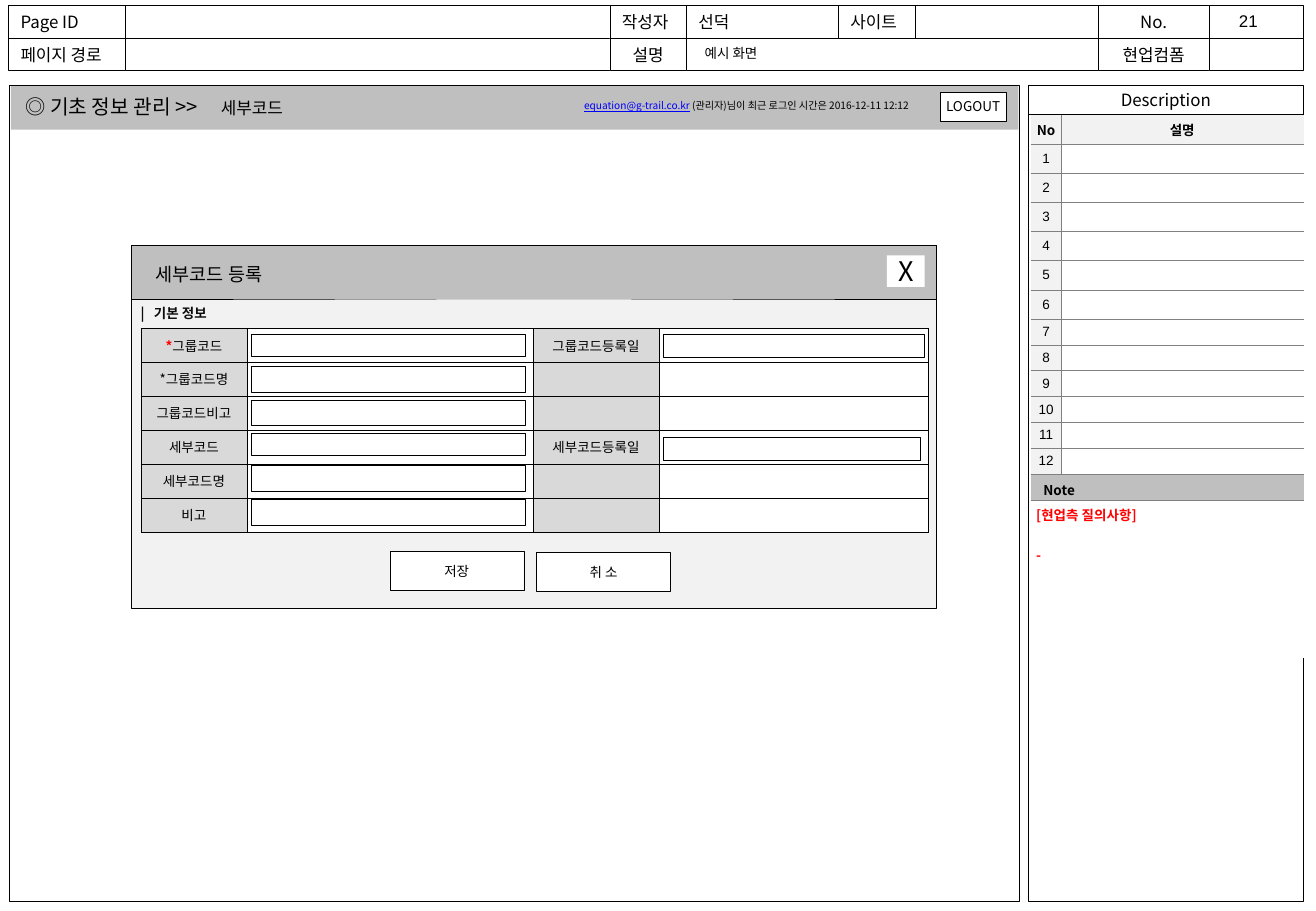
from typing import NamedTuple

from lxml import etree
from pptx import Presentation
from pptx.dml.color import RGBColor
from pptx.enum.shapes import MSO_SHAPE as Shape
from pptx.enum.text import MSO_ANCHOR as Anchor, PP_ALIGN as Align
from pptx.oxml.ns import qn
from pptx.util import Cm, Pt

KOREAN = "Noto Sans CJK KR"
BLACK, WHITE, RED, BLUE = "000000", "FFFFFF", "FF0000", "0000FF"
PALE, LIGHT, MEDIUM, RULE = "F2F2F2", "D9D9D9", "BFBFBF", "808080"
THIN = Pt(0.25)
ALL_SIDES = "LRTB"


class Box(NamedTuple):
    left: float
    top: float
    width: float
    height: float
    text: str = ""
    size: float = 8
    align: Align = Align.CENTER
    fill: str = WHITE
    outlined: bool = True
    inset: float = 0.1


class HeaderCell(NamedTuple):
    left: float
    text: str = ""
    align: Align = Align.LEFT
    inset: float = 0.25


class FormRow(NamedTuple):
    label: str
    date_label: str = ""
    required: str = ""


def color(value: str) -> RGBColor:
    return RGBColor.from_string(value)


def write(paragraph, text: str, size: float = 8, ink: str = BLACK, font: str = KOREAN,
          bold: bool = False, underline: bool = False, align: Align = Align.LEFT) -> None:
    paragraph.alignment = align
    run = paragraph.add_run()
    run.text = text
    run.font.size = Pt(size)
    run.font.bold = bold
    run.font.underline = underline
    run.font.color.rgb = color(ink)
    run.font.name = font
    etree.SubElement(run.font._element, qn("a:ea")).set("typeface", font)


def set_tab(paragraph, position: float) -> None:
    tabs = etree.SubElement(paragraph._p.get_or_add_pPr(), qn("a:tabLst"))
    etree.SubElement(tabs, qn("a:tab"), pos=str(Cm(position)), algn="l")


def draw_box(slide, box: Box) -> None:
    shape = slide.shapes.add_shape(
        Shape.RECTANGLE, Cm(box.left), Cm(box.top), Cm(box.width), Cm(box.height))
    shape.shadow.inherit = False
    shape.fill.solid()
    shape.fill.fore_color.rgb = color(box.fill)
    if box.outlined:
        shape.line.color.rgb = color(BLACK)
        shape.line.width = THIN
    else:
        shape.line.fill.background()
    if box.text:
        frame = shape.text_frame
        frame.word_wrap = True
        frame.vertical_anchor = Anchor.MIDDLE
        frame.margin_left = frame.margin_right = Cm(box.inset)
        write(frame.paragraphs[0], box.text, size=box.size, align=box.align)


def add_label(slide, left: float, top: float, width: float, height: float):
    frame = slide.shapes.add_textbox(Cm(left), Cm(top), Cm(width), Cm(height)).text_frame
    frame.word_wrap = True
    return frame.paragraphs[0]


def add_grid(slide, left: float, top: float, widths: list[float], heights: list[float]):
    table = slide.shapes.add_table(
        len(heights), len(widths), Cm(left), Cm(top), Cm(sum(widths)), Cm(sum(heights))).table
    table.first_row = table.horz_banding = False
    for column, width in zip(table.columns, widths):
        column.width = Cm(width)
    for row, height in zip(table.rows, heights):
        row.height = Cm(height)
    return table


def style_cell(cell, fill: str, sides: str, ink: str, margin: float,
               anchor: Anchor = Anchor.MIDDLE):
    """Format a cell and return its first paragraph."""
    properties = cell._tc.get_or_add_tcPr()
    for side in ALL_SIDES:
        line = etree.SubElement(properties, qn(f"a:ln{side}"), w=str(THIN))
        if side in sides:
            solid = etree.SubElement(line, qn("a:solidFill"))
            etree.SubElement(solid, qn("a:srgbClr"), val=ink)
        else:
            etree.SubElement(line, qn("a:noFill"))
    cell.fill.solid()
    cell.fill.fore_color.rgb = color(fill)
    cell.vertical_anchor = anchor
    cell.margin_left = cell.margin_right = Cm(margin)
    cell.margin_top = cell.margin_bottom = Cm(0.1)
    paragraph = cell.text_frame.paragraphs[0]
    etree.SubElement(paragraph._p, qn("a:endParaRPr"), sz="800")
    return paragraph


def draw_page_header(slide) -> None:
    right, height = 27.25, 0.68
    rows = [
        [HeaderCell(0.18, "Page ID"), HeaderCell(2.62), HeaderCell(12.75, "작성자"),
         HeaderCell(14.35, "선덕"), HeaderCell(17.53, "사이트"), HeaderCell(19.13),
         HeaderCell(22.96, "No.", Align.CENTER), HeaderCell(25.27)],
        [HeaderCell(0.18, "페이지 경로"), HeaderCell(2.62),
         HeaderCell(12.75, "설명", Align.CENTER, 0.1), HeaderCell(14.35),
         HeaderCell(22.96, "현업컴폼", Align.CENTER), HeaderCell(25.27)],
    ]
    for index, cells in enumerate(rows):
        edges = [cell.left for cell in cells[1:]] + [right]
        for cell, edge in zip(cells, edges):
            draw_box(slide, Box(cell.left, 0.12 + index * height, edge - cell.left, height,
                                cell.text, 10, cell.align, inset=cell.inset))
    write(add_label(slide, 25.65, 0.1, 1.3, 0.68), "21", size=10, font="Arial")
    write(add_label(slide, 14.48, 0.81, 8.2, 0.61), "예시 화면")


def draw_description(slide) -> None:
    draw_box(slide, Box(21.49, 2.38, 5.76, 16.46))
    draw_box(slide, Box(21.49, 1.78, 5.76, 0.6, "Description", 10))
    numbers = range(1, 13)
    table = add_grid(slide, 21.56, 2.4, [0.62, 5.07], [0.61] * 7 + [0.54] * 7 + [3.3])
    for row, text in enumerate(["No", *map(str, numbers)]):
        top = "T" if row else ""
        number = style_cell(table.cell(row, 0), PALE, "RB" + top, RULE, 0.05)
        detail = style_cell(table.cell(row, 1), WHITE if row else PALE, "LB" + top, RULE, 0.1)
        write(number, text, font="Arial" if row else KOREAN, bold=not row, align=Align.CENTER)
        if not row:
            write(detail, "설명", bold=True, align=Align.CENTER)

    # Note heading and questions
    note_row = len(numbers) + 1
    for row in (note_row, note_row + 1):
        table.cell(row, 0).merge(table.cell(row, 1))
    heading = table.cell(note_row, 0)
    write(style_cell(heading, MEDIUM, "TB", RULE, 0.25), "Note", bold=True)
    heading.margin_top, heading.margin_bottom = Cm(0.1), Cm(0)
    questions = table.cell(note_row + 1, 0)
    write(style_cell(questions, WHITE, "T", RULE, 0.1, Anchor.TOP),
          "[현업측 질의사항]", ink=RED, bold=True)
    dash = questions.text_frame.add_paragraph()
    dash.space_before = Pt(12)
    write(dash, "-", ink=RED, bold=True)


def draw_screen(slide) -> None:
    draw_box(slide, Box(0.2, 1.78, 21.11, 17.06))
    draw_box(slide, Box(0.23, 1.8, 21.06, 0.91, fill=MEDIUM, outlined=False))
    title = add_label(slide, 0.28, 1.85, 8, 0.76)
    set_tab(title, 4.09)
    write(title, "◎ 기초 정보 관리 >>\t", size=12)
    write(title, "세부코드", size=10)
    draw_box(slide, Box(19.66, 1.93, 1.37, 0.6, "LOGOUT"))
    login = add_label(slide, 11.96, 1.96, 7.77, 0.51)
    write(login, "equation@g-trail.co.kr", size=6, ink=BLUE, underline=True)
    write(login, " (관리자)님이 최근 로그인 시간은 2016-12-11 12:12", size=6)


def draw_dialog(slide) -> None:
    draw_box(slide, Box(2.74, 5.13, 16.84, 7.59, fill=PALE))
    draw_box(slide, Box(2.74, 5.13, 16.84, 1.12, fill=MEDIUM))
    write(add_label(slide, 3, 5.38, 4, 0.74), "세부코드 등록", size=11)
    section = add_label(slide, 2.69, 6.25, 3, 0.61)
    set_tab(section, 0.28)
    write(section, "|\t기본 정보", ink="0D0D0D", bold=True)

    # Form table
    rows = [FormRow("그룹코드", "그룹코드등록일", "*"), FormRow("*그룹코드명"),
            FormRow("그룹코드비고"), FormRow("세부코드", "세부코드등록일"),
            FormRow("세부코드명"), FormRow("비고")]
    table = add_grid(slide, 2.95, 6.86, [2.21, 5.99, 2.62, 5.64], [0.71] * len(rows))
    for index, row in enumerate(rows):
        cells = [style_cell(table.cell(index, column), WHITE if column % 2 else LIGHT,
                            ALL_SIDES, BLACK, 0.25) for column in range(4)]
        if row.required:
            write(cells[0], row.required, ink=RED, bold=True, align=Align.CENTER)
        write(cells[0], row.label, align=Align.CENTER)
        if row.date_label:
            write(cells[2], row.date_label, align=Align.CENTER)

    # Input fields, then buttons
    for top, height in [(6.99, 0.47), (7.66, 0.54), (8.36, 0.54),
                        (9.06, 0.47), (9.73, 0.54), (10.44, 0.54)]:
        draw_box(slide, Box(5.26, top, 5.72, height))
    for top, width in [(6.99, 5.45), (9.14, 5.36)]:
        draw_box(slide, Box(13.87, top, width, 0.48))
    draw_box(slide, Box(8.15, 11.53, 2.8, 0.82, "저장"))
    draw_box(slide, Box(11.22, 11.55, 2.8, 0.82, "취 소"))
    draw_box(slide, Box(18.54, 5.34, 0.79, 0.66, "X", 16, outlined=False))


def main() -> None:
    presentation = Presentation()
    presentation.slide_width, presentation.slide_height = Cm(27.51), Cm(19.05)
    slide = presentation.slides.add_slide(presentation.slide_layouts[6])
    draw_page_header(slide)
    draw_description(slide)
    draw_screen(slide)
    draw_dialog(slide)
    presentation.save("out.pptx")


if __name__ == "__main__":
    main()
